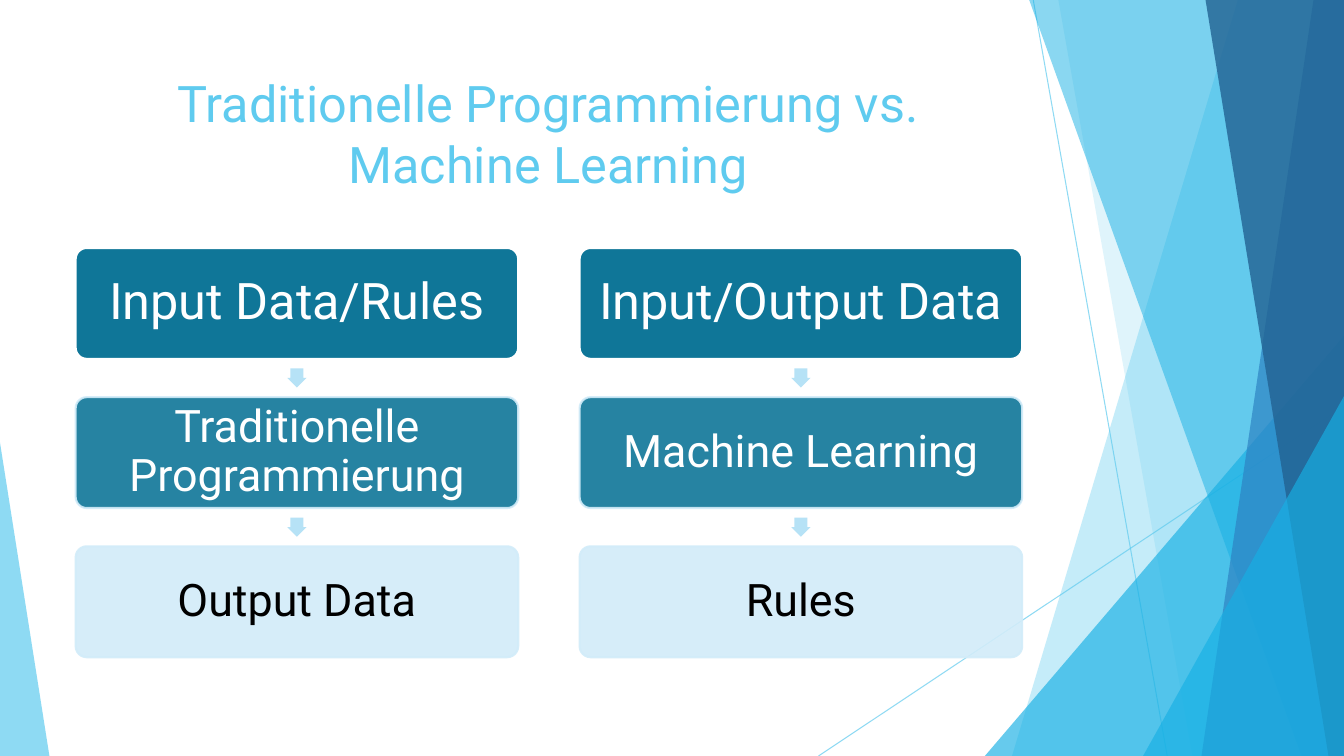
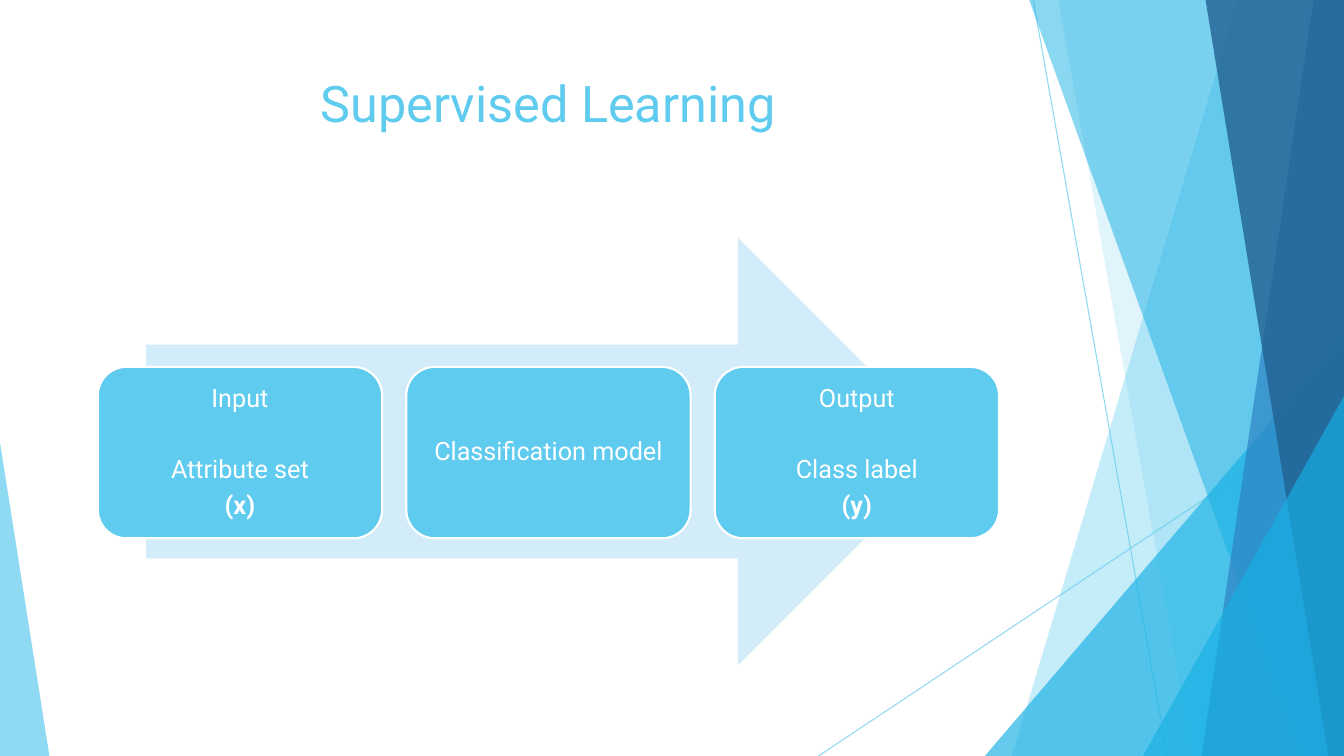
from lxml.etree import SubElement
from pptx import Presentation
from pptx.dml.color import RGBColor
from pptx.enum.shapes import MSO_CONNECTOR, MSO_SHAPE
from pptx.enum.text import MSO_ANCHOR, PP_ALIGN
from pptx.oxml.ns import qn
from pptx.util import Inches, Pt

WIDTH, HEIGHT = Inches(13.333), Inches(7.5)
FONT = "Roboto"
SKY, CYAN, BLUE, NAVY = "5FCBEF", "17B0E4", "2E83C3", "226292"
TEAL, PALE, ARROW = "0F7698", "D2ECF9", "B6E2F6"
WHITE, BLACK = "FFFFFF", "000000"


def across(percent):
    return round(WIDTH * percent / 100)


def down(percent):
    return round(HEIGHT * percent / 100)


def color(value):
    return RGBColor.from_string(value)


def set_opacity(shape, parent, percent):
    for node in shape.element.xpath(f"./p:spPr/{parent}a:solidFill/a:srgbClr"):
        SubElement(node, qn("a:alpha")).set("val", str(percent * 1000))


def paint(shape, fill, line=None, opacity=100, line_opacity=100):
    shape.shadow.inherit = False
    shape.fill.solid()
    shape.fill.fore_color.rgb = color(fill)
    if line:
        shape.line.color.rgb = color(line)
        shape.line.width = Pt(1.5)
    else:
        shape.line.fill.background()
    set_opacity(shape, "", opacity)
    set_opacity(shape, "a:ln/", line_opacity)


def add_preset(slide, kind, left, top, width, height, adjustments=()):
    shape = slide.shapes.add_shape(kind, across(left), down(top), across(width), down(height))
    for index, value in enumerate(adjustments):
        shape.adjustments[index] = value
    return shape


def add_thin_line(slide, start_x, start_y, end_x, end_y):
    line = slide.shapes.add_connector(
        MSO_CONNECTOR.STRAIGHT, across(start_x), down(start_y), across(end_x), down(end_y))
    line.line.color.rgb = color(SKY)
    line.line.width = Pt(0.75)
    set_opacity(line, "a:ln/", 70)
    SubElement(line.element.spPr, qn("a:effectLst"))


def add_pane(slide, top_x, bottom_x, fill, opacity):
    builder = slide.shapes.build_freeform(across(top_x), 0)
    builder.add_line_segments([(WIDTH, 0), (WIDTH, HEIGHT), (across(bottom_x), HEIGHT)])
    paint(builder.convert_to_shape(), fill, opacity=opacity)


def add_triangle(slide, left, top, width, apex, fill, opacity):
    triangle = add_preset(
        slide, MSO_SHAPE.ISOSCELES_TRIANGLE, left, top, width, 100 - top, [apex])
    paint(triangle, fill, opacity=opacity)


def draw_facets(slide):
    add_thin_line(slide, 76.88, 0, 86.85, 100)
    add_thin_line(slide, 100, 53.73, 60.9, 100)
    add_pane(slide, 92.1, 75.3, SKY, 36)
    add_pane(slide, 78.75, 88.73, SKY, 20)
    add_triangle(slide, 73.28, 44.4, 26.72, 1, CYAN, 66)
    add_pane(slide, 76.58, 96.83, CYAN, 50)
    add_pane(slide, 97.73, 89.4, BLUE, 70)
    add_pane(slide, 89.7, 98.85, NAVY, 80)
    add_triangle(slide, 85.05, 52.4, 14.95, 1, CYAN, 66)
    add_triangle(slide, 0, 58.53, 3.68, 0, SKY, 70)


def move_facets_to_layout(slide, layout):
    draw_facets(slide)
    for shape in list(slide.shapes):
        if not shape.is_placeholder:
            layout.shapes.element.append(shape.element)


def set_title(slide, text):
    title = slide.shapes.title
    title.left, title.top = across(5.55), down(8.93)
    title.width, title.height = across(70.5), down(19.2)
    frame = title.text_frame
    frame.text = text
    frame.vertical_anchor = MSO_ANCHOR.TOP
    format_paragraph(frame.paragraphs[0], 36, SKY)


def format_paragraph(paragraph, size, text_color):
    paragraph.alignment = PP_ALIGN.CENTER
    paragraph.font.name = FONT
    paragraph.font.size = Pt(size)
    paragraph.font.color.rgb = color(text_color)


def write_lines(shape, lines, size, text_color, inset):
    frame = shape.text_frame
    frame.word_wrap = True
    frame.vertical_anchor = MSO_ANCHOR.MIDDLE
    frame.margin_left = frame.margin_right = Inches(inset)
    frame.margin_top = frame.margin_bottom = Inches(inset)
    frame.text = "\n".join(lines)
    for paragraph in frame.paragraphs:
        format_paragraph(paragraph, size, text_color)
        paragraph.line_spacing = 0.9
        paragraph.space_after = Pt(size * 0.35)
    return frame.paragraphs


def add_flow_column(slide, left, labels):
    top, width, height, pitch = 32.8, 32.93, 14.67, 19.73
    arrow_width, arrow_height = 1.43, 2.53
    styles = [
        (TEAL, WHITE, 100, 36, WHITE),
        (TEAL, PALE, 90, 32, WHITE),
        (PALE, PALE, 90, 32, BLACK),
    ]
    for row, (label, style) in enumerate(zip(labels, styles)):
        fill, line, opacity, size, text_color = style
        box_top = top + row * pitch
        if row:
            arrow = add_preset(
                slide, MSO_SHAPE.DOWN_ARROW, left + (width - arrow_width) / 2,
                box_top - (pitch - height + arrow_height) / 2,
                arrow_width, arrow_height, [0.67, 0.5])
            paint(arrow, ARROW)
        box = add_preset(
            slide, MSO_SHAPE.ROUNDED_RECTANGLE, left, box_top, width, height, [0.1])
        paint(box, fill, line, opacity, opacity)
        write_lines(box, [label], size, text_color, 0.05)


def add_process(slide, steps):
    arrow = add_preset(slide, MSO_SHAPE.RIGHT_ARROW, 10.88, 31.47, 59.93, 56.53)
    paint(arrow, PALE)
    for column, lines in enumerate(steps):
        box = add_preset(
            slide, MSO_SHAPE.ROUNDED_RECTANGLE, 7.28 + column * 22.95, 48.53, 21.15, 22.67)
        paint(box, SKY, WHITE)
        paragraphs = write_lines(box, lines, 18, WHITE, 0.07)
        if len(lines) > 1:
            paragraphs[1].space_before = Pt(25.3)
            paragraphs[-1].font.bold = True


def main():
    presentation = Presentation()
    presentation.slide_width, presentation.slide_height = WIDTH, HEIGHT
    layout = presentation.slide_layouts[5]

    comparison = presentation.slides.add_slide(layout)
    move_facets_to_layout(comparison, layout)
    set_title(comparison, "Traditionelle Programmierung vs. Machine Learning")
    columns = [
        ["Input Data/Rules", "Traditionelle Programmierung", "Output Data"],
        ["Input/Output Data", "Machine Learning", "Rules"],
    ]
    for index, labels in enumerate(columns):
        add_flow_column(comparison, 5.63 + index * 37.5, labels)

    supervised = presentation.slides.add_slide(layout)
    set_title(supervised, "Supervised Learning")
    add_process(supervised, [
        ["Input", "Attribute set", "(x)"],
        ["Classification model"],
        ["Output", "Class label", "(y)"],
    ])
    presentation.save("out.pptx")


if __name__ == "__main__":
    main()
